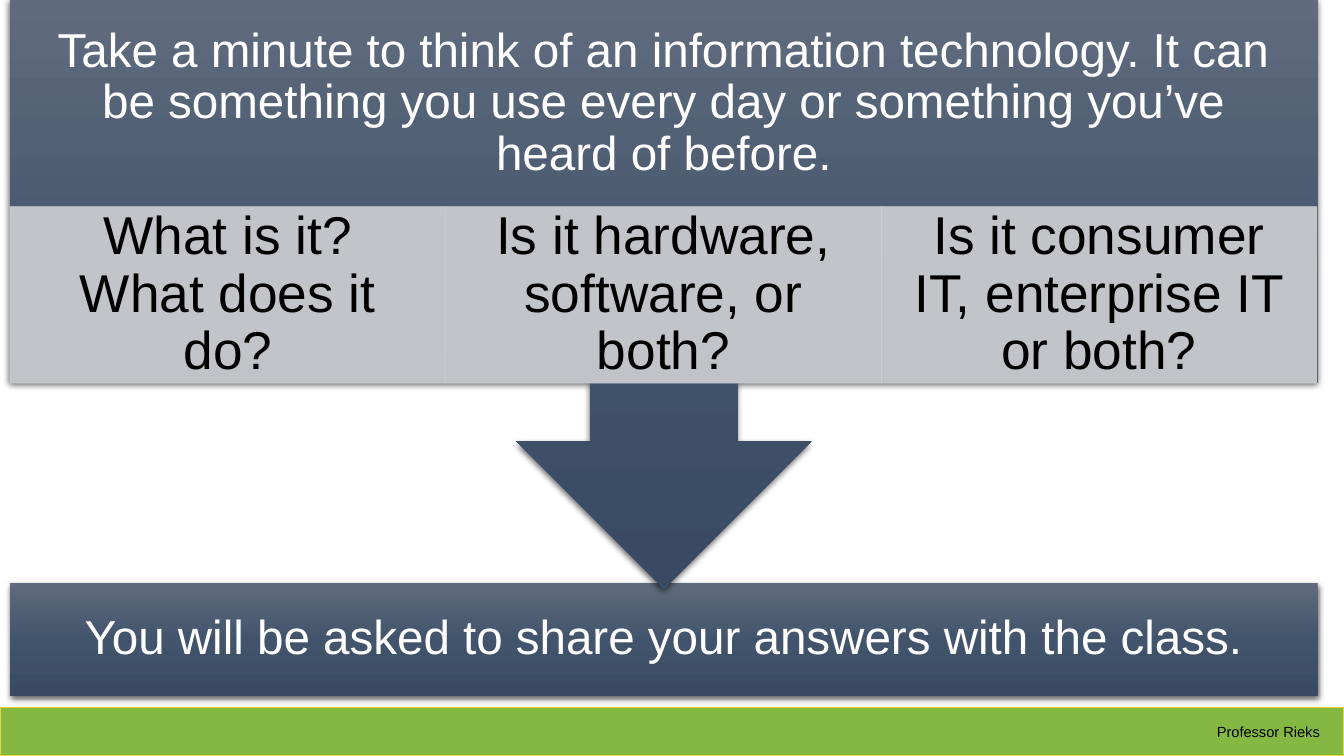
from dataclasses import dataclass

from lxml.etree import SubElement
from pptx import Presentation
from pptx.dml.color import RGBColor
from pptx.enum.shapes import MSO_SHAPE
from pptx.enum.text import MSO_ANCHOR, MSO_AUTO_SIZE, PP_ALIGN
from pptx.oxml.ns import qn
from pptx.shapes.autoshape import Shape
from pptx.slide import Slide
from pptx.util import Pt

SCALE = 9144  # EMU per px, 100 px to the inch
COLORS = {
    "slate_light": "606B7D",
    "slate": "42546C",
    "slate_dark": "394A62",
    "column": "CFD1D4",
    "green": "85B843",
    "yellow": "F6CF35",
    "white": "FFFFFF",
    "black": "000000",
}
GRADIENT = {0: "slate_light", 50: "slate", 100: "slate_dark"}
SHADOW = {"blurRad": "57150", "dist": "19050", "dir": "5400000",
          "algn": "ctr", "rotWithShape": "0"}


@dataclass(frozen=True)
class Area:
    left: int
    top: int
    width: int
    height: int

    def emu(self) -> list[int]:
        return [value * SCALE for value in
                (self.left, self.top, self.width, self.height)]


@dataclass(frozen=True)
class TextStyle:
    size: float
    color: str
    side: int
    edge: int
    align: PP_ALIGN = PP_ALIGN.CENTER
    anchor: MSO_ANCHOR = MSO_ANCHOR.MIDDLE
    spacing: float = 0.9


BANNER = TextStyle(34, "white", 26, 26)
QUESTION = TextStyle(38, "black", 30, 5)
CREDIT = TextStyle(10.5, "black", 10, 5, PP_ALIGN.LEFT, MSO_ANCHOR.TOP, 1.0)

HEADLINE = ("Take a minute to think of an information technology. It can be "
            "something you use every day or something you’ve heard of before.")
QUESTIONS = (
    "What is it? What does it do?",
    "Is it hardware, software, or both?",
    "Is it consumer IT, enterprise IT or both?",
)
LEFT, WIDTH = 10, 1297
HEADLINE_HEIGHT, COLUMN_WIDTH, COLUMN_HEIGHT = 205, 432, 175


def rgb(name: str) -> RGBColor:
    return RGBColor.from_string(COLORS[name])


def write(box: Shape, text: str, style: TextStyle) -> None:
    frame = box.text_frame
    frame_format = {
        "word_wrap": True,
        "auto_size": MSO_AUTO_SIZE.NONE,
        "vertical_anchor": style.anchor,
        "margin_left": style.side * SCALE,
        "margin_right": style.side * SCALE,
        "margin_top": style.edge * SCALE,
        "margin_bottom": style.edge * SCALE,
    }
    for name, value in frame_format.items():
        setattr(frame, name, value)
    para = frame.paragraphs[0]
    para.alignment = style.align
    para.line_spacing = style.spacing
    span = para.add_run()
    span.text = text
    for name, value in {"name": "Arial", "size": Pt(style.size)}.items():
        setattr(span.font, name, value)
    span.font.color.rgb = rgb(style.color)


def add_plain(page: Slide, area: Area, fill: str, line: str, weight: float) -> Shape:
    box = page.shapes.add_shape(MSO_SHAPE.RECTANGLE, *area.emu())
    box.shadow.inherit = False
    box.fill.solid()
    box.fill.fore_color.rgb = rgb(fill)
    box.line.color.rgb = rgb(line)
    box.line.width = Pt(weight)
    return box


def add_slate(page: Slide, kind: MSO_SHAPE, area: Area) -> Shape:
    """Add a shape with the slate gradient and a soft shadow below it."""
    box = page.shapes.add_shape(kind, *area.emu())
    box.line.fill.background()
    box.fill.gradient()
    box.fill.gradient_angle = 270
    properties = box.element.spPr
    stops = properties.find(qn("a:gradFill")).find(qn("a:gsLst"))
    for stop in list(stops):
        stops.remove(stop)
    for percent, name in GRADIENT.items():
        stop = SubElement(stops, qn("a:gs"), pos=str(percent * 1000))
        SubElement(stop, qn("a:srgbClr"), val=COLORS[name])
    box.shadow.inherit = False
    effects = properties.find(qn("a:effectLst"))
    shadow = SubElement(effects, qn("a:outerShdw"), SHADOW)
    color = SubElement(shadow, qn("a:srgbClr"), val=COLORS["black"])
    SubElement(color, qn("a:alpha"), val="63000")
    return box


def add_question(page: Slide, area: Area, text: str) -> None:
    box = add_plain(page, area, "column", "column", 0.5)
    for color in box.element.spPr.iter(qn("a:srgbClr")):
        SubElement(color, qn("a:alpha"), val="90000")
    write(box, text, QUESTION)


def main() -> None:
    deck = Presentation()
    deck.slide_width, deck.slide_height = 1333 * SCALE, 750 * SCALE
    page = deck.slides.add_slide(deck.slide_layouts[5])

    # Footer bar
    add_plain(page, Area(0, 702, 1333, 48), "green", "yellow", 1)
    credit = page.shapes.add_textbox(*Area(1197, 712, 131, 29).emu())
    write(credit, "Professor Rieks", CREDIT)

    # Closing banner, with the callout pointing down to it
    closing = add_slate(page, MSO_SHAPE.RECTANGLE, Area(LEFT, 578, WIDTH, 113))
    write(closing, "You will be asked to share your answers with the class.", BANNER)
    callout = add_slate(page, MSO_SHAPE.DOWN_ARROW_CALLOUT, Area(LEFT, 0, WIDTH, 584))

    # Headline, placed in front of the callout
    title = page.shapes.title
    area = Area(LEFT, 0, WIDTH, HEADLINE_HEIGHT)
    for name, value in zip(("left", "top", "width", "height"), area.emu()):
        setattr(title, name, value)
    write(title, HEADLINE, BANNER)
    callout.element.addnext(title.element)

    # Question columns
    for index, question in enumerate(QUESTIONS):
        left = LEFT + index * COLUMN_WIDTH
        add_question(page, Area(left, HEADLINE_HEIGHT, COLUMN_WIDTH, COLUMN_HEIGHT),
                     question)

    deck.save("out.pptx")


if __name__ == "__main__":
    main()
